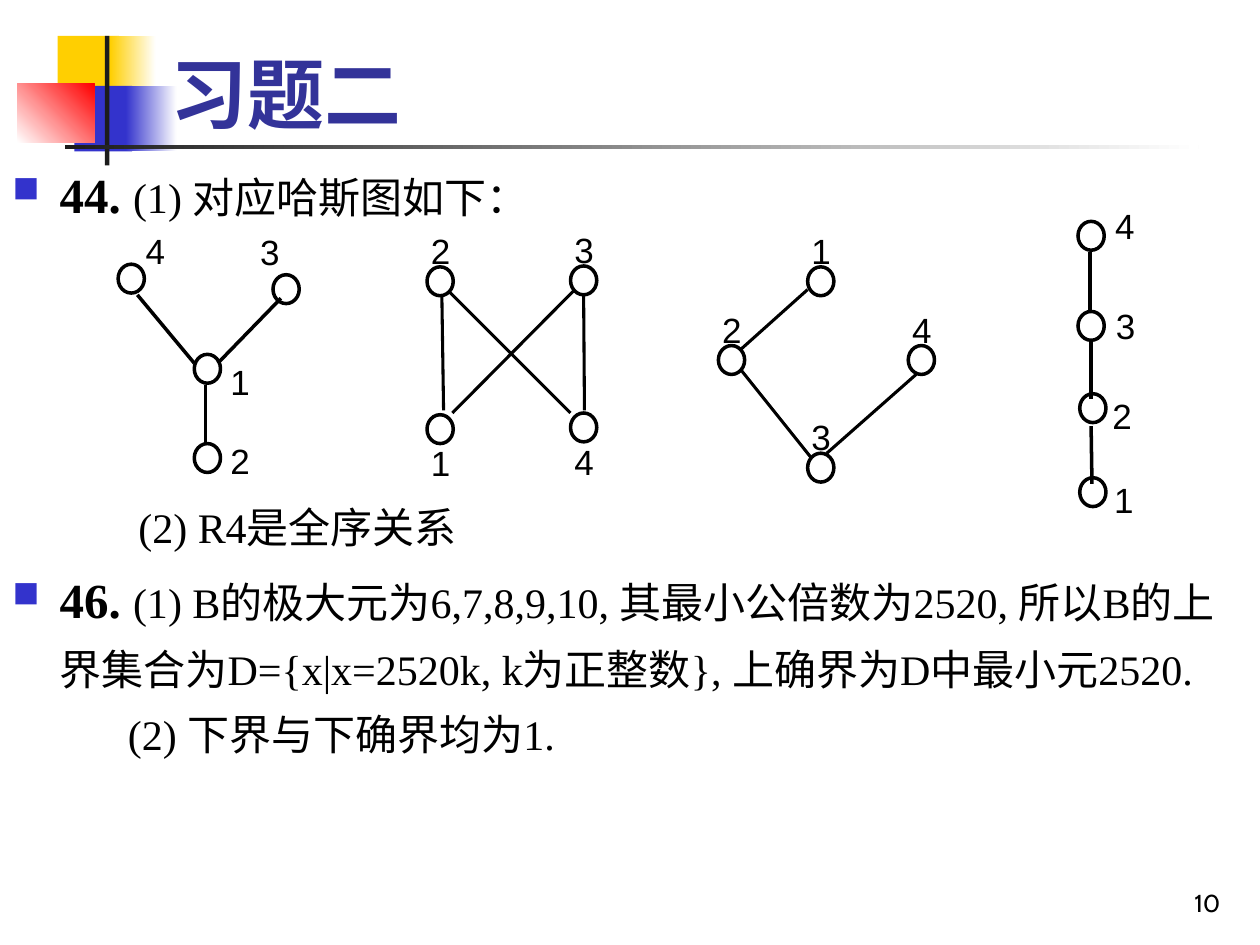
from dataclasses import dataclass

from lxml import etree
from pptx import Presentation
from pptx import util as u
from pptx.dml.color import RGBColor
from pptx.enum import shapes, text
from pptx.oxml.ns import qn

Pt = u.Pt


@dataclass(frozen=True)
class Theme:
    ink: str = "000000"
    paper: str = "FFFFFF"
    title: str = "333399"
    blue: str = "3333CC"
    yellow: str = "FFCF01"
    red: str = "FF0000"
    rule: str = "1C1C1C"
    head_font: str = "Cabin"
    body_font: str = "Times New Roman"
    label_font: str = "Arial"
    title_size: float = 44
    number_size: float = 28
    body_size: float = 24
    label_size: float = 20
    page_size: float = 14


def apply(target, values):
    for name, value in values.items():
        setattr(target, name, value)


class SlideBuilder:
    NODE_W, NODE_H = 15, 16.5
    LABEL_W, LABEL_H = 29.5, 22.5

    def __init__(self, slide, theme):
        self.s = slide
        self.t = theme

    def block(self, x, y, w, h, color, end=None, angle=0):
        """Plain rectangle, or a gradient from color to end."""
        sp = self.s.shapes.add_shape(shapes.MSO_SHAPE.RECTANGLE, Pt(x), Pt(y), Pt(w), Pt(h))
        sp.shadow.inherit = False
        sp.line.fill.background()
        if end is None:
            sp.fill.solid()
            sp.fill.fore_color.rgb = RGBColor.from_string(color)
            return
        sp.fill.gradient()
        sp.fill.gradient_angle = angle
        for stop, shade in zip(sp.fill.gradient_stops, (color, end)):
            stop.color.rgb = RGBColor.from_string(shade)

    def frame(self, x, y, w, h, anchor=text.MSO_ANCHOR.TOP):
        tf = self.s.shapes.add_textbox(Pt(x), Pt(y), Pt(w), Pt(h)).text_frame
        apply(tf, {"word_wrap": True, "vertical_anchor": anchor})
        return tf

    def run(self, p, words, font, size, color=None, bold=False):
        r = p.add_run()
        r.text = words
        apply(r.font, {"name": font, "size": Pt(size), "bold": bold})
        r.font.color.rgb = RGBColor.from_string(color or self.t.ink)

    def line_of_text(self, box, words, font, size, color=None, bold=False,
                     align=text.PP_ALIGN.LEFT, anchor=text.MSO_ANCHOR.TOP):
        p = self.frame(*box, anchor).paragraphs[0]
        p.alignment = align
        self.run(p, words, font, size, color, bold)

    def body(self, box, items):
        """Items are (number, words, indent, space before); a number adds a bullet."""
        tf = self.frame(*box)
        for i, (number, words, indent, before) in enumerate(items):
            p = tf.add_paragraph() if i else tf.paragraphs[0]
            apply(p, {"line_spacing": 1.3, "space_before": Pt(before)})
            pPr = p._p.get_or_add_pPr()
            pPr.set("marL", str(Pt(indent)))
            pPr.set("indent", str(Pt(-indent if number else 0)))
            if number:
                self.bullet(pPr)
                self.run(p, number, self.t.body_font, self.t.number_size, bold=True)
            self.run(p, words, self.t.body_font, self.t.body_size)

    def bullet(self, pPr):
        color = etree.SubElement(pPr, qn("a:buClr"))
        etree.SubElement(color, qn("a:srgbClr"), val=self.t.blue)
        etree.SubElement(pPr, qn("a:buSzPct"), val="75000")
        etree.SubElement(pPr, qn("a:buChar"), char="■")

    def node(self, x, y, label, dx, dy):
        """Circle at (x, y) with its label box offset by (dx, dy)."""
        sp = self.s.shapes.add_shape(shapes.MSO_SHAPE.OVAL, Pt(x), Pt(y),
                                     Pt(self.NODE_W), Pt(self.NODE_H))
        sp.shadow.inherit = False
        sp.fill.background()
        sp.line.width = Pt(2)
        sp.line.color.rgb = RGBColor.from_string(self.t.ink)
        self.line_of_text((x + dx, y + dy, self.LABEL_W, self.LABEL_H), label,
                          self.t.label_font, self.t.label_size,
                          align=text.PP_ALIGN.CENTER)

    def edge(self, x1, y1, x2, y2, width):
        cx = self.s.shapes.add_connector(shapes.MSO_CONNECTOR.STRAIGHT,
                                         Pt(x1), Pt(y1), Pt(x2), Pt(y2))
        cx.line.width = Pt(width)
        cx.line.color.rgb = RGBColor.from_string(self.t.ink)
        etree.SubElement(cx._element.spPr, qn("a:effectLst"))

    def hasse(self, width, nodes, edges):
        for node in nodes:
            self.node(*node)
        for edge in edges:
            self.edge(*edge, width)


ABOVE, BELOW = (-7, -25), (-7, 12)

# Each diagram: line width, nodes (x, y, label, label offset), edges (x1, y1, x2, y2)
DIAGRAMS = [
    (2,
     [(67.5, 151, "4", 6.5, -23.5), (156, 157, "3", -16.5, -29),
      (111, 202.5, "1", 11.5, 0), (111, 253.5, "2", 11.5, -6)],
     [(78.5, 168.5, 111, 207.5), (160.5, 170.5, 124.5, 207.5),
      (117.5, 220, 117.5, 253)]),
    (1.75,
     [(244, 152.5, "2", *ABOVE), (326, 152, "3", *ABOVE),
      (244, 237, "1", *BELOW), (326, 236, "4", *BELOW)],
     [(252.5, 168.5, 253.5, 234.5), (333.5, 168.5, 334, 234.5),
      (328.5, 165.5, 258.5, 236), (257, 167, 326, 236)]),
    (1.75,
     [(461.5, 152.5, "1", *ABOVE), (410.5, 197.5, "2", *ABOVE),
      (461.5, 259, "3", *ABOVE), (519, 197.5, "4", *ABOVE)],
     [(461.5, 165.5, 423.5, 199.5), (523.5, 214, 472.5, 259),
      (463.5, 261.5, 423.5, 211.5)]),
    (2,
     [(616, 126.5, "4", 12, -13), (616, 178, "3", 12.5, -7.5),
      (617, 225, "2", 9.5, -3), (617, 273, "1", 10.5, -3)],
     [(623, 144, 623, 177), (623.5, 195, 623.5, 228), (623.5, 243.5, 624, 276.5)]),
]

BODY = [
    ("44. ", "(1) 对应哈斯图如下：", 27, 0),
    (None, "(2) R4是全序关系", 72, 150),
    ("46. ", "(1) B的极大元为6,7,8,9,10, 其最小公倍数为2520, 所以B的上界集合为"
             "D={x|x=2520k, k为正整数}, 上确界为D中最小元2520.", 27, 0),
    (None, "(2) 下界与下确界均为1.", 66, 0),
]


def main():
    prs = Presentation()
    apply(prs, {"slide_width": Pt(720), "slide_height": Pt(540)})
    t = Theme()
    b = SlideBuilder(prs.slides.add_slide(prs.slide_layouts[6]), t)

    b.block(33, 20.5, 35, 37.5, t.yellow)
    b.block(63, 20.5, 26, 37.5, t.yellow, t.paper)
    b.block(42.5, 49, 33, 37.5, t.blue)
    b.block(72, 49, 29, 37.5, t.blue, t.paper)
    b.block(10, 48, 44, 33.5, t.paper, t.red, 45)
    b.block(60, 20.5, 2.5, 74, t.rule)
    b.block(37, 83, 648, 2, t.rule, t.paper)

    b.line_of_text((554.5, 492, 150, 36), "10", t.head_font, t.page_size,
                   align=text.PP_ALIGN.RIGHT, anchor=text.MSO_ANCHOR.BOTTOM)
    b.line_of_text((90.5, 6, 613.5, 77), "习题二", t.head_font, t.title_size,
                   t.title, True, anchor=text.MSO_ANCHOR.BOTTOM)
    b.body((0, 80.5, 720, 448), BODY)
    for diagram in DIAGRAMS:
        b.hasse(*diagram)

    prs.save("out.pptx")


if __name__ == "__main__":
    main()
